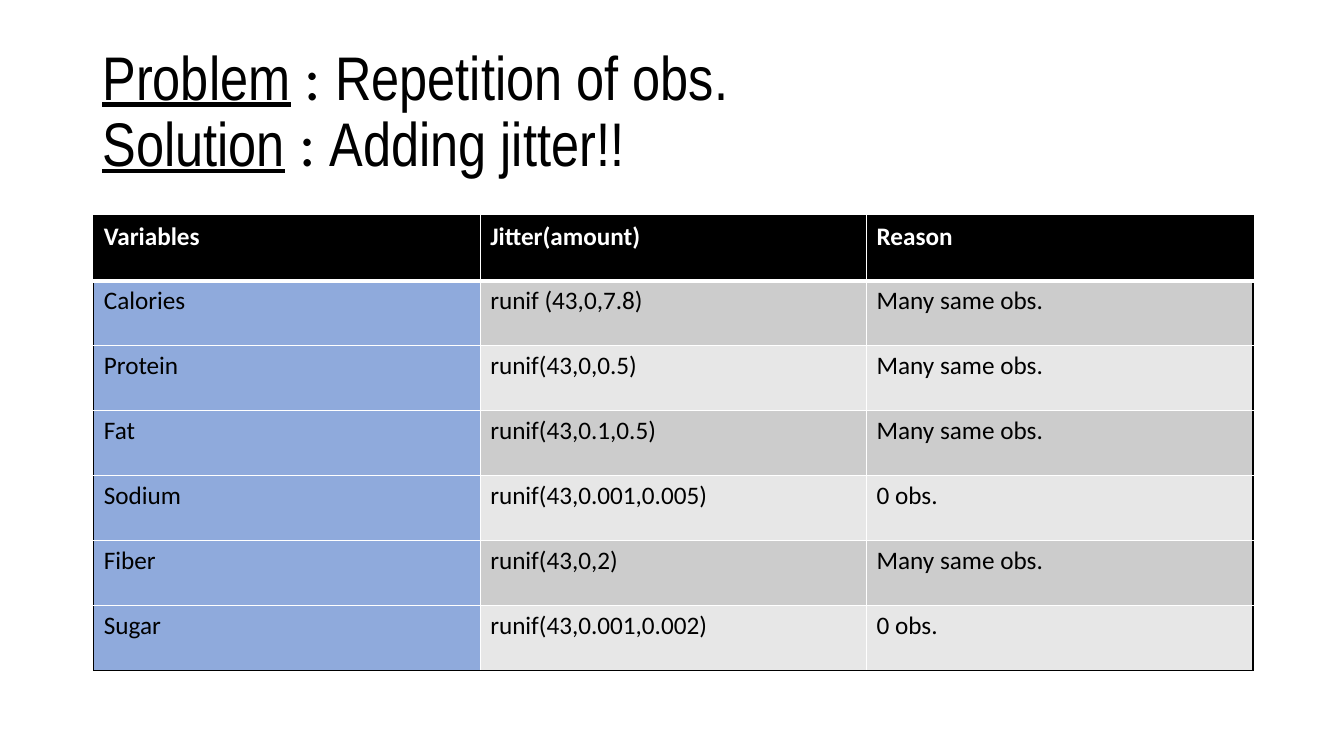
from lxml import etree
from pptx import Presentation
from pptx.dml.color import RGBColor
from pptx.enum import text
from pptx.oxml import ns
from pptx.util import Pt

BLACK = RGBColor(0x00, 0x00, 0x00)
WHITE = RGBColor(0xFF, 0xFF, 0xFF)
BLUE = RGBColor(0x8F, 0xAA, 0xDC)
DARK_GRAY = RGBColor(0xCC, 0xCC, 0xCC)
LIGHT_GRAY = RGBColor(0xE7, 0xE7, 0xE7)

TITLE_LINES = [("Problem", "Repetition of obs."), ("Solution", "Adding jitter!!")]
ROWS = [
    ("Variables", "Jitter(amount)", "Reason"),
    ("Calories", "runif (43,0,7.8)", "Many same obs."),
    ("Protein", "runif(43,0,0.5)", "Many same obs."),
    ("Fat", "runif(43,0.1,0.5)", "Many same obs."),
    ("Sodium", "runif(43,0.001,0.005)", "0 obs."),
    ("Fiber", "runif(43,0,2)", "Many same obs."),
    ("Sugar", "runif(43,0.001,0.002)", "0 obs."),
]


def add_run(p, content, font="Calibri", size=18, color=BLACK, bold=False, underline=False):
    r = p.add_run()
    r.text = content
    r.font.name = font
    r.font.size = Pt(size)
    r.font.color.rgb = color
    r.font.bold = bold
    r.font.underline = underline
    return r


def set_border(cell, side, color, width):
    tc_pr = cell._tc.get_or_add_tcPr()
    ln = etree.SubElement(tc_pr, ns.qn(f"a:ln{side}"), w=str(Pt(width)))
    fill = etree.SubElement(ln, ns.qn("a:solidFill"))
    etree.SubElement(fill, ns.qn("a:srgbClr"), val=str(color))


def cell_fill(row, col):
    if row == 0:
        return BLACK
    if col == 0:
        return BLUE
    return DARK_GRAY if row % 2 else LIGHT_GRAY


def add_title(s, left, top, width, height):
    sp = s.shapes.title
    sp.left, sp.top, sp.width, sp.height = Pt(left), Pt(top), Pt(width), Pt(height)
    tf = sp.text_frame
    tf.word_wrap = True
    tf.auto_size = text.MSO_AUTO_SIZE.NONE
    tf.vertical_anchor = text.MSO_ANCHOR.MIDDLE
    p = tf.paragraphs[0]
    p.alignment = text.PP_ALIGN.LEFT
    p.line_spacing = 0.9
    for i, (label, message) in enumerate(TITLE_LINES):
        if i:
            p.add_line_break()
        add_run(p, label, font="Arial Narrow", size=44, underline=True)
        add_run(p, " : ", size=44)
        add_run(p, message, font="Arial Narrow", size=44)


def add_jitter_table(s, left, top, width, height):
    n_rows, n_cols = len(ROWS), len(ROWS[0])
    frame = s.shapes.add_table(n_rows, n_cols, Pt(left), Pt(top), Pt(width), Pt(height))
    table = frame.table
    for row, values in enumerate(ROWS):
        for col, value in enumerate(values):
            cell = table.cell(row, col)
            header = row == 0
            set_border(cell, "L", BLACK if col == 0 else WHITE, 1)
            set_border(cell, "R", BLACK if col == n_cols - 1 else WHITE, 1)
            set_border(cell, "T", BLACK if header else WHITE, 3 if row == 1 else 1)
            set_border(cell, "B", BLACK if row == n_rows - 1 else WHITE, 3 if header else 1)
            cell.fill.solid()
            cell.fill.fore_color.rgb = cell_fill(row, col)
            p = cell.text_frame.paragraphs[0]
            add_run(p, value, color=WHITE if header else BLACK, bold=header)


def main():
    prs = Presentation()
    prs.slide_width, prs.slide_height = Pt(960), Pt(540)
    s = prs.slides.add_slide(prs.slide_layouts[5])
    add_title(s, 66, 28.75, 828, 104.4)
    add_jitter_table(s, 67, 154.3, 828, 324.5)
    prs.save("out.pptx")


if __name__ == "__main__":
    main()
